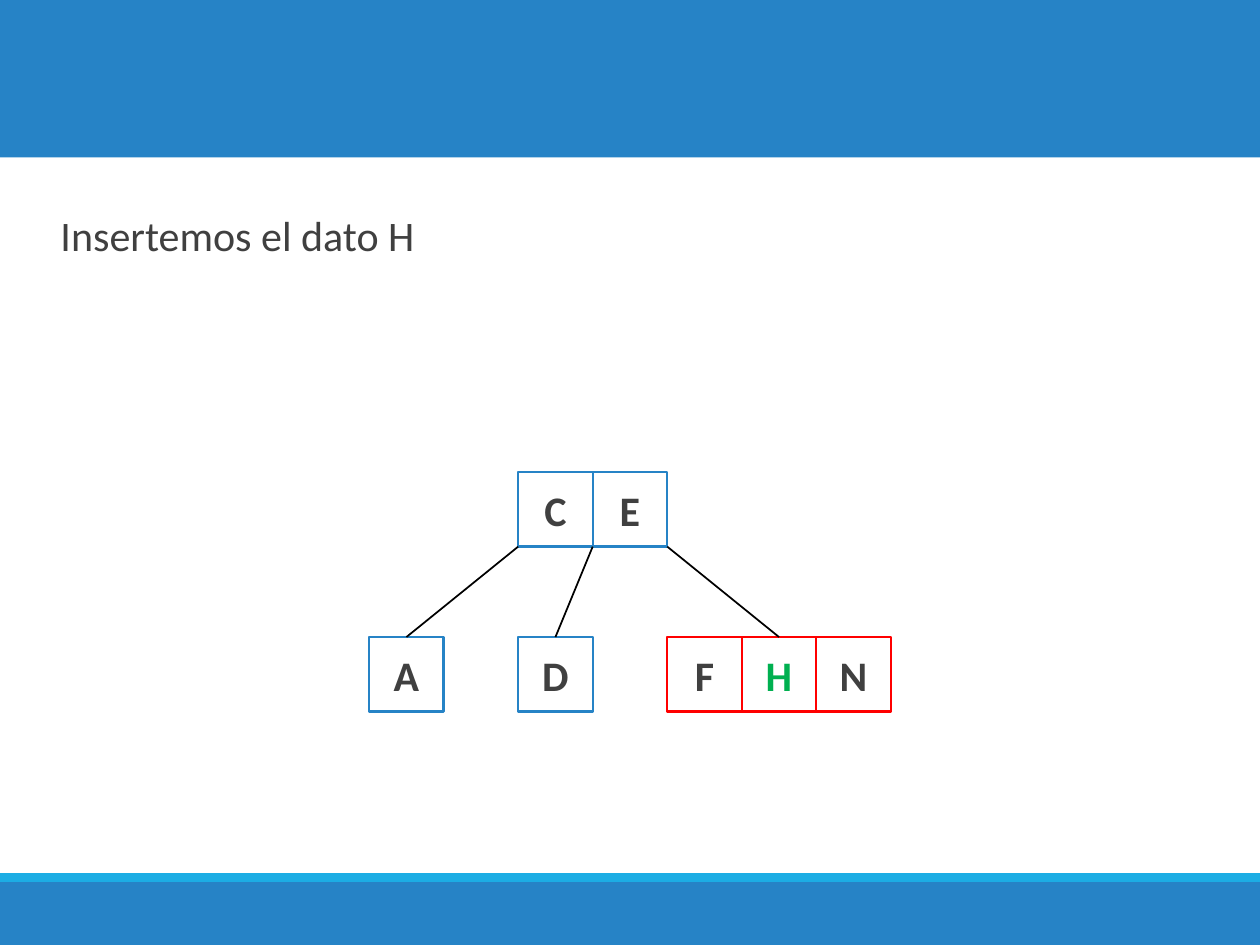
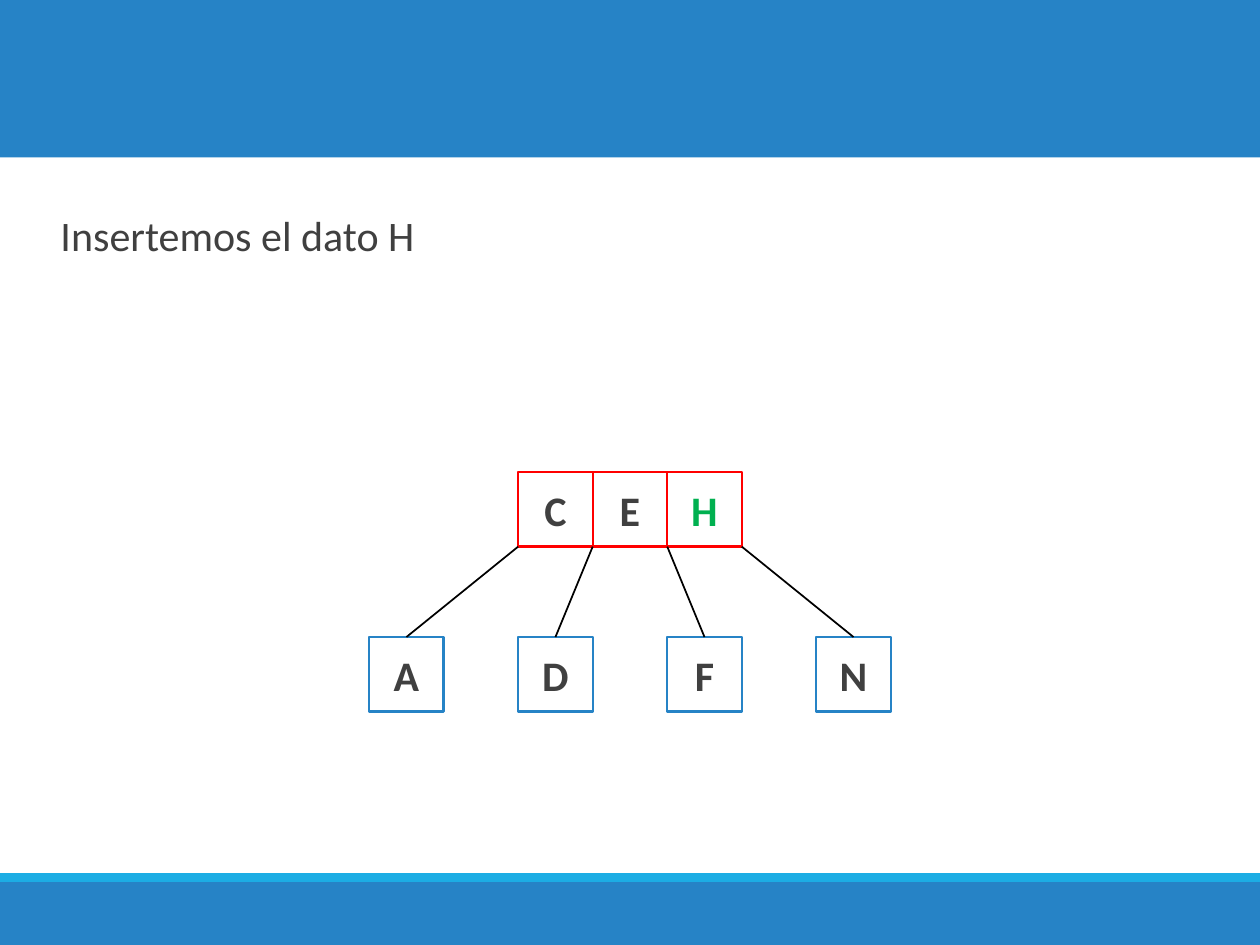
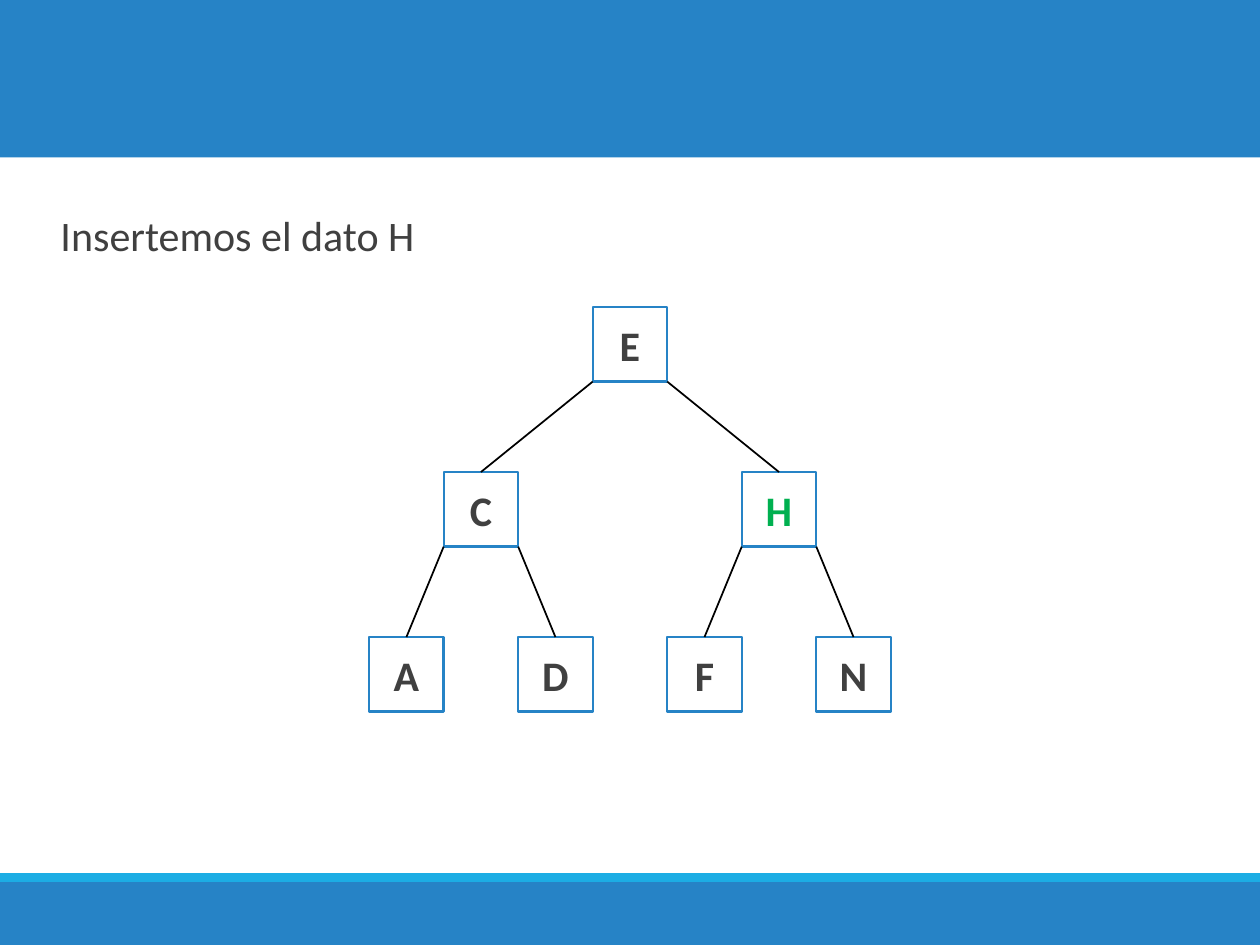
from dataclasses import dataclass

from lxml.etree import SubElement
from pptx import Presentation
from pptx.dml.color import RGBColor
from pptx.enum.shapes import MSO_CONNECTOR, MSO_SHAPE
from pptx.enum.text import MSO_ANCHOR, MSO_AUTO_SIZE, PP_ALIGN
from pptx.oxml.ns import qn
from pptx.util import Inches, Pt


@dataclass(frozen=True)
class Theme:
    """Colours, font and sizes that every slide shares."""

    blue: str = "2683C6"
    cyan: str = "1CADE4"
    white: str = "FFFFFF"
    ink: str = "404040"
    overflow: str = "FF0000"
    inserted: str = "00B050"
    link: str = "000000"
    font: str = "Calibri"
    size: int = 24
    border: float = 1.25
    link_width: float = 1


@dataclass(frozen=True)
class Box:
    """A rectangle in EMU."""

    left: int
    top: int
    width: int
    height: int

    def share(self, left, top, width, height):
        """Return the part of this box given by shares of its size."""
        return Box(
            round(self.left + left * self.width),
            round(self.top + top * self.height),
            round(width * self.width),
            round(height * self.height),
        )

    def place(self):
        """Return left, top, width and height."""
        return self.left, self.top, self.width, self.height


@dataclass(frozen=True)
class Node:
    """A tree node whose first key sits at a column and row of the grid."""

    keys: str
    column: int
    row: int
    children: tuple = ()


THEME = Theme()
SLIDE = Box(0, 0, Inches(10), Inches(7.5))
BODY = SLIDE.share(0.028, 0.188, 0.945, 0.116)
TREE = SLIDE.share(0.293, 0.325, 0.414, 0.428)
BANDS = (
    (SLIDE.share(0, 0, 1, 1 / 6), THEME.blue),
    (SLIDE.share(0, 14 / 15, 1, 1 / 15), THEME.blue),
    (SLIDE.share(0, 0.924, 1, 0.0093), THEME.cyan),
)
COLUMNS, ROWS, MAX_KEYS = 7, 3, 2
HEADING, NEW_KEY = "Insertemos el dato H", "H"
LEAF_A, LEAF_D, LEAF_F, LEAF_N = (
    Node(key, 2 * index, 2) for index, key in enumerate("ADFN")
)
STEPS = (
    Node("CE", 2, 1, (LEAF_A, LEAF_D, Node("FHN", 4, 2))),
    Node("CEH", 2, 1, (LEAF_A, LEAF_D, LEAF_F, LEAF_N)),
    Node("E", 3, 0, (
        Node("C", 1, 1, (LEAF_A, LEAF_D)),
        Node("H", 5, 1, (LEAF_F, LEAF_N)),
    )),
)


def colour(code):
    """Turn a hex code into a colour."""
    return RGBColor.from_string(code)


def format_text(para, code, bold=False):
    """Apply the theme font to every run of a paragraph."""
    for span in para.runs:
        span.font.name = THEME.font
        span.font.size = Pt(THEME.size)
        span.font.bold = bold
        span.font.color.rgb = colour(code)


def add_rectangle(page, box, fill):
    """Add a filled rectangle without line or shadow."""
    shape = page.shapes.add_shape(MSO_SHAPE.RECTANGLE, *box.place())
    shape.shadow.inherit = False
    shape.fill.solid()
    shape.fill.fore_color.rgb = colour(fill)
    shape.line.fill.background()
    return shape


def add_bands(deck, page):
    """Draw the bands and move them to the back of the slide master."""
    tree = deck.slide_master.shapes.element
    for index, (box, fill) in enumerate(BANDS):
        band = add_rectangle(page, box, fill).element
        band.nvSpPr.cNvPr.id = 100 + index
        tree.insert(2 + index, band)


def add_heading(page, box):
    """Fill the body placeholder and drop the empty title."""
    title = page.shapes.title.element
    title.getparent().remove(title)
    body = page.placeholders[1]
    body.left, body.top, body.width, body.height = box.place()
    frame = body.text_frame
    frame.text = HEADING
    frame.auto_size = MSO_AUTO_SIZE.NONE
    frame.vertical_anchor = MSO_ANCHOR.TOP
    para = frame.paragraphs[0]
    para.line_spacing = 1.5
    para.space_before, para.space_after = Pt(12), Pt(2)
    format_text(para, THEME.ink)
    props = para._p.get_or_add_pPr()
    props.set("marL", str(Inches(0.1)))
    props.set("indent", str(-Inches(0.1)))
    bullet_colour = SubElement(props, qn("a:buClr"))
    SubElement(bullet_colour, qn("a:srgbClr"), val=THEME.cyan)
    SubElement(props, qn("a:buChar"), char=" ")


def add_key(page, box, key, border):
    """Add one square holding a key."""
    square = add_rectangle(page, box, THEME.white)
    square.line.color.rgb = colour(border)
    square.line.width = Pt(THEME.border)
    frame = square.text_frame
    frame.text = key
    frame.vertical_anchor = MSO_ANCHOR.MIDDLE
    para = frame.paragraphs[0]
    para.alignment = PP_ALIGN.CENTER
    format_text(para, THEME.inserted if key == NEW_KEY else THEME.ink, True)
    return square


def add_link(page, left, top, square):
    """Link a corner of a parent to the top middle of a child square."""
    link = page.shapes.add_connector(
        MSO_CONNECTOR.STRAIGHT, left, top, square.left, square.top
    )
    link.end_connect(square, 0)
    link.line.color.rgb = colour(THEME.link)
    link.line.width = Pt(THEME.link_width)
    SubElement(link.element.spPr, qn("a:effectLst"))


def add_tree(page, node, box):
    """Draw a node and its subtrees on the grid and return its middle square."""
    cell = box.width / COLUMNS
    pitch = (box.height - cell) / (ROWS - 1)
    left = box.left + node.column * cell
    top = box.top + node.row * pitch
    border = THEME.overflow if len(node.keys) > MAX_KEYS else THEME.blue
    squares = [
        add_key(
            page,
            Box(round(left + index * cell), round(top), round(cell), round(cell)),
            key,
            border,
        )
        for index, key in enumerate(node.keys)
    ]
    for slot, child in enumerate(node.children):
        target = add_tree(page, child, box)
        add_link(page, round(left + slot * cell), round(top + cell), target)
    return squares[len(squares) // 2]


def main():
    """Build one slide for each step of the insertion."""
    deck = Presentation()
    deck.slide_width, deck.slide_height = SLIDE.width, SLIDE.height
    for step in STEPS:
        page = deck.slides.add_slide(deck.slide_layouts[1])
        add_heading(page, BODY)
        add_tree(page, step, TREE)
    add_bands(deck, deck.slides[0])
    deck.save("out.pptx")


if __name__ == "__main__":
    main()
